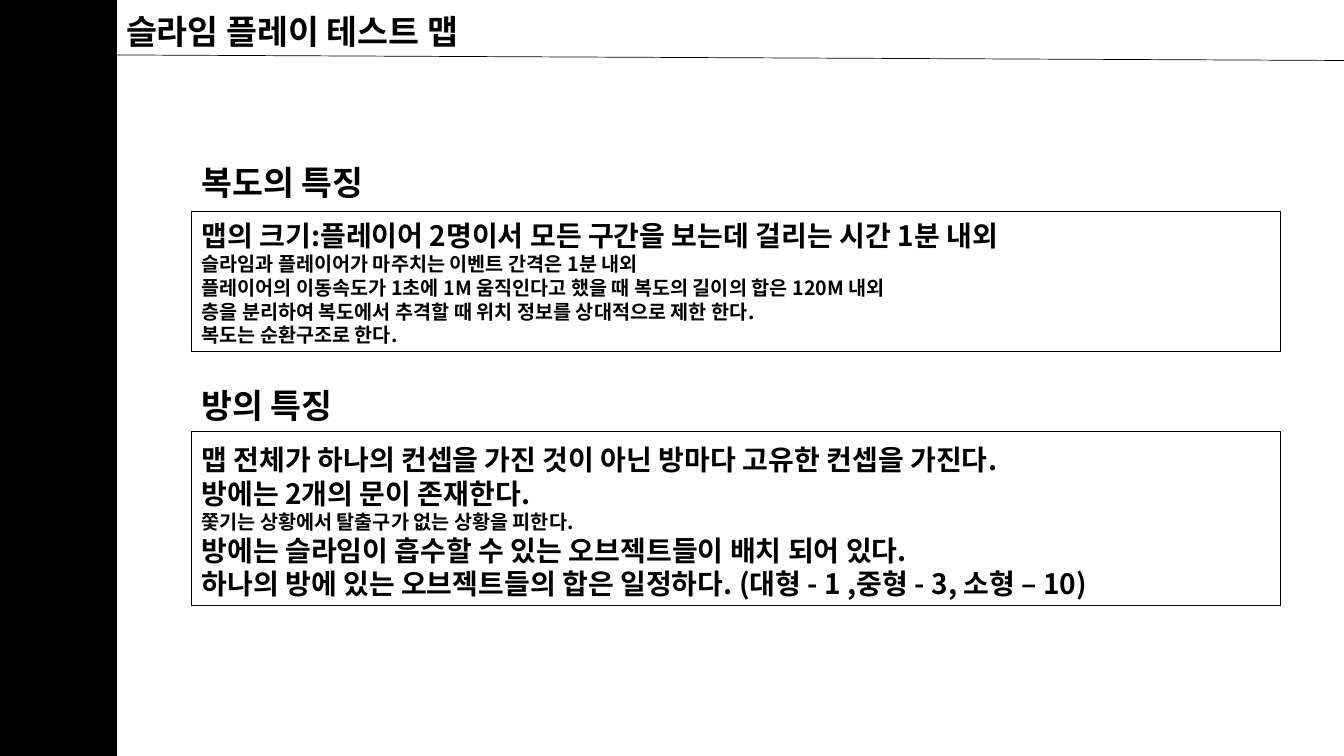
from lxml import etree
from pptx import Presentation
from pptx.dml.color import RGBColor
from pptx.enum.shapes import MSO_CONNECTOR, MSO_SHAPE
from pptx.enum.text import MSO_ANCHOR, PP_ALIGN
from pptx.oxml.ns import qn
from pptx.util import Inches, Pt

LINE = MSO_CONNECTOR.STRAIGHT
RECT = MSO_SHAPE.RECTANGLE
TOP = MSO_ANCHOR.TOP
LEFT = PP_ALIGN.LEFT

FONT = "Noto Sans CJK KR"
COLORS = {"ink": "000000"}
HEAD, MAIN, NOTE = 24, 20, 14
EDGE = 1.9

# Heading, its place, frame, text place, lines with their sizes
PARTS = [
    ("복도의 특징", (1.54, 2), (2.1, 1.39), (2.1, 9.06, 1.38), [
        ("맵의 크기:플레이어 2명이서 모든 구간을 보는데 걸리는 시간 1분 내외", MAIN),
        ("슬라임과 플레이어가 마주치는 이벤트 간격은 1분 내외", NOTE),
        ("플레이어의 이동속도가 1초에 1M 움직인다고 했을 때 복도의 길이의 합은 120M 내외", NOTE),
        ("층을 분리하여 복도에서 추격할 때 위치 정보를 상대적으로 제한 한다.", NOTE),
        ("복도는 순환구조로 한다.", NOTE),
    ]),
    ("방의 특징", (3.75, 1.67), (4.28, 1.73), (4.32, 10.01, 1.68), [
        ("맵 전체가 하나의 컨셉을 가진 것이 아닌 방마다 고유한 컨셉을 가진다.", MAIN),
        ("방에는 2개의 문이 존재한다.", MAIN),
        ("쫓기는 상황에서 탈출구가 없는 상황을 피한다.", NOTE),
        ("방에는 슬라임이 흡수할 수 있는 오브젝트들이 배치 되어 있다.", MAIN),
        ("하나의 방에 있는 오브젝트들의 합은 일정하다. (대형 - 1 ,중형 - 3, 소형 – 10)", MAIN),
    ]),
]


class Sheet:
    def __init__(self, slide):
        self.slide = slide
        self.ink = RGBColor.from_string(COLORS["ink"])

    def rule(self, x1, y1, x2, y2, width):
        line = self.slide.shapes.add_connector(
            LINE, *map(Inches, (x1, y1, x2, y2)))
        line.line.color.rgb = self.ink
        line.line.width = Pt(width)
        etree.SubElement(line._element.spPr, qn("a:effectLst"))

    def box(self, x, y, w, h, solid=False):
        rect = self.slide.shapes.add_shape(RECT, *map(Inches, (x, y, w, h)))
        rect.shadow.inherit = False
        if solid:
            rect.fill.solid()
            rect.fill.fore_color.rgb = self.ink
        else:
            rect.fill.background()
        rect.line.color.rgb = self.ink
        rect.line.width = Pt(1)

    def title(self, x, y, w, h, text):
        shape = self.slide.shapes.title
        place = {"left": x, "top": y, "width": w, "height": h}
        for name, value in place.items():
            setattr(shape, name, Inches(value))
        self.fill(shape.text_frame, [(text, HEAD)])

    def text(self, x, y, w, h, lines):
        shape = self.slide.shapes.add_textbox(*map(Inches, (x, y, w, h)))
        self.fill(shape.text_frame, lines)

    def fill(self, frame, lines):
        """Fill a frame with (text, size) lines, each 1.2 times its size high."""
        form = {"word_wrap": True, "vertical_anchor": TOP,
                "margin_left": Inches(0.1), "margin_right": Inches(0.1),
                "margin_top": Inches(0.07), "margin_bottom": Inches(0.03)}
        for name, value in form.items():
            setattr(frame, name, value)
        for i, (text, size) in enumerate(lines):
            para = frame.add_paragraph() if i else frame.paragraphs[0]
            form = {"alignment": LEFT, "line_spacing": Pt(size * 1.2),
                    "space_before": Pt(0), "space_after": Pt(0)}
            for name, value in form.items():
                setattr(para, name, value)
            run = para.add_run()
            run.text = text
            form = {"size": Pt(size), "bold": True, "name": FONT}
            for name, value in form.items():
                setattr(run.font, name, value)
            run.font.color.rgb = self.ink
            etree.SubElement(run._r.rPr, qn("a:ea"), typeface=FONT)


def main():
    deck = Presentation()
    deck.slide_width = Inches(13.33)
    deck.slide_height = Inches(7.5)
    sheet = Sheet(deck.slides.add_slide(deck.slide_layouts[5]))
    sheet.rule(0, 0.54, 13.33, 0.6, 0.5)
    sheet.title(1.15, 0.04, 3.93, 0.5, "슬라임 플레이 테스트 맵")
    sheet.box(0, 0, 1.15, 7.5, solid=True)
    for head, (y, w), (top, tall), (start, wide, high), lines in PARTS:
        sheet.box(EDGE, top, 10.8, tall)
        sheet.text(EDGE, y, w, 0.5, [(head, HEAD)])
        sheet.text(EDGE, start, wide, high, lines)
    deck.save("out.pptx")


if __name__ == "__main__":
    main()
